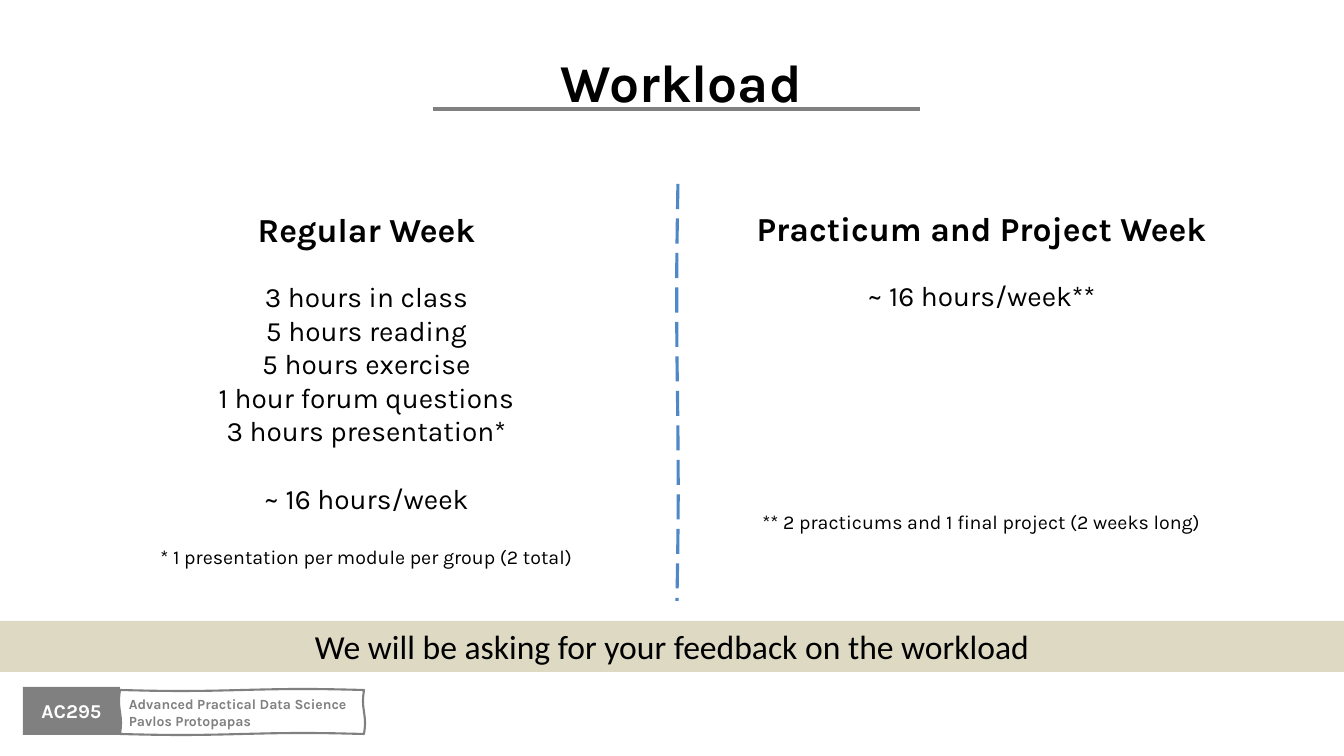
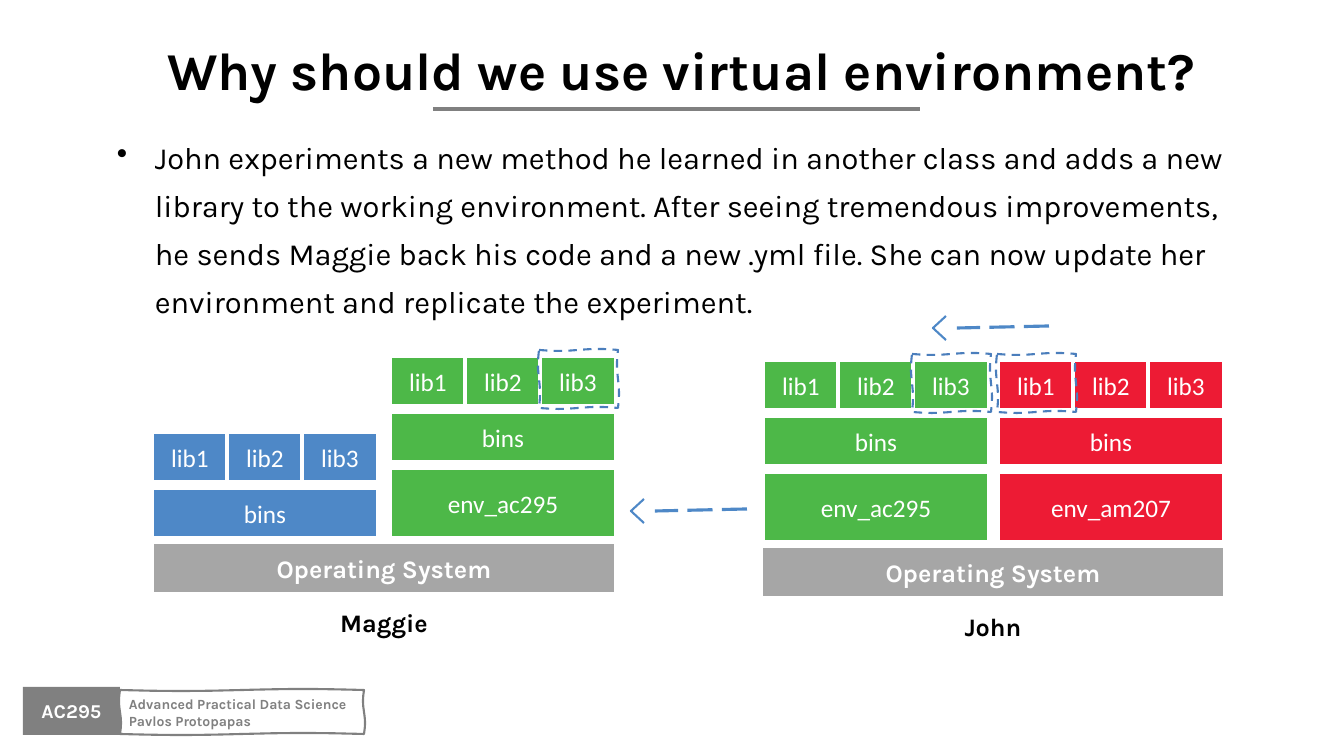
import math

import lxml.etree
import pptx
import pptx.dml.color
import pptx.enum.dml
import pptx.enum.shapes
import pptx.enum.text
import pptx.oxml.ns
import pptx.util

PX = 914400 / 100.8
PAGE_WIDTH, PAGE_HEIGHT = 1344, 756

BLACK, WHITE = "000000", "FFFFFF"
GREY, BAR_GREY = "808080", "A6A6A6"
BLUE, RING_BLUE = "4E88C7", "4B7EBC"
GREEN, RED, SAND = "4DB848", "ED1B34", "DDD9C3"
HEADING_FONT, LABEL_FONT = "Karla", "Calibri"

ALIGN = pptx.enum.text.PP_ALIGN
ANCHOR = pptx.enum.text.MSO_ANCHOR
DASH = pptx.enum.dml.MSO_LINE
PLACEHOLDER = pptx.enum.shapes.PP_PLACEHOLDER

LIBRARY_WIDTH, LIBRARY_STEP = 76, 75
STACK_WIDTH = LIBRARY_WIDTH + 2 * LIBRARY_STEP
LAYER_HEIGHT, ENVIRONMENT_HEIGHT, LAYER_GAP = 50, 70, 6


def emu(*lengths):
    return [pptx.util.Emu(round(length * PX)) for length in lengths]


def colour(hex_text):
    return pptx.dml.color.RGBColor.from_string(hex_text)


def set_line(line, hex_text, width, dash=None):
    line.color.rgb = colour(hex_text)
    line.width = pptx.util.Pt(width)
    if dash is not None:
        line.dash_style = dash


def set_bullet(para, indent):
    properties = para._p.get_or_add_pPr()
    distance = emu(indent)[0]
    properties.set("marL", str(distance))
    properties.set("indent", str(-distance))
    bullet = lxml.etree.SubElement(properties, pptx.oxml.ns.qn("a:buChar"))
    bullet.set("char", "•")


def write(shape, *lines, anchor=ANCHOR.TOP, **style):
    """Fill a shape with paragraphs; a line is text or (text, its own format)."""
    frame = shape.text_frame
    frame.word_wrap = True
    frame.auto_size = pptx.enum.text.MSO_AUTO_SIZE.NONE
    frame.vertical_anchor = anchor
    for index, line in enumerate(lines):
        text, own = (line, {}) if isinstance(line, str) else line
        look = {"font": HEADING_FONT, "size": 20, "color": BLACK, "bold": False,
                "align": ALIGN.CENTER, **style, **own}
        para = frame.paragraphs[0] if index == 0 else frame.add_paragraph()
        para.alignment = look["align"]
        para.space_before = pptx.util.Pt(look.get("before", 0))
        if "spacing" in look:
            para.line_spacing = look["spacing"]
        if "bullet" in look:
            set_bullet(para, look["bullet"])
        span = para.add_run()
        span.text = text
        span.font.name = look["font"]
        span.font.size = pptx.util.Pt(look["size"])
        span.font.bold = look["bold"]
        span.font.color.rgb = colour(look["color"])


def add_text(page, box, *lines, **style):
    write(page.shapes.add_textbox(*emu(*box)), *lines, **style)


def add_block(page, box, fill, *lines, edge=None, **style):
    kind = pptx.enum.shapes.MSO_SHAPE.RECTANGLE
    block = page.shapes.add_shape(kind, *emu(*box))
    block.shadow.inherit = False
    block.fill.solid()
    block.fill.fore_color.rgb = colour(fill)
    if edge:
        set_line(block.line, edge, 2.25)
    else:
        block.line.fill.background()
    write(block, *lines, anchor=ANCHOR.MIDDLE, **style)
    return block


def add_line(page, start, end, hex_text, width, dash=None):
    kind = pptx.enum.shapes.MSO_CONNECTOR.STRAIGHT
    line = page.shapes.add_connector(kind, *emu(*start, *end))
    set_line(line.line, hex_text, width, dash)
    properties = line.element.find(pptx.oxml.ns.qn("p:spPr"))
    lxml.etree.SubElement(properties, pptx.oxml.ns.qn("a:effectLst"))
    return line


def add_outline(page, points, hex_text, width, dash=None, closed=False):
    start, *rest = [emu(*point) for point in points]
    builder = page.shapes.build_freeform(*start, scale=1.0)
    builder.add_line_segments(rest, close=closed)
    outline = builder.convert_to_shape()
    outline.shadow.inherit = False
    outline.fill.background()
    set_line(outline.line, hex_text, width, dash)
    return outline


def wavy(corners, swing=1, steps=16):
    """Points along the path through the corners, with a hand-drawn sway."""
    points = [corners[0]]
    for (left, top), (right, bottom) in zip(corners, corners[1:]):
        length = math.hypot(right - left, bottom - top)
        for step in range(1, steps + 1):
            part = step / steps
            sway = swing * math.sin(2 * math.pi * part) / length
            points.append((left + (right - left) * part - (bottom - top) * sway,
                           top + (bottom - top) * part + (right - left) * sway))
    return points


def add_wavy_box(page, box, hex_text, width, dash=None):
    left, top, wide, high = box
    right, bottom = left + wide, top + high
    corners = [(left, top), (right, top), (right, bottom), (left, bottom), (left, top)]
    return add_outline(page, wavy(corners), hex_text, width, dash, closed=True)


def add_furniture(page):
    """Draw the title rule and footer, then move them to the page's layout."""
    rule = add_line(page, (433, 109), (920, 109), GREY, 3)
    badge = add_block(page, (23, 687, 97, 48), GREY, "AC295",
                      size=14, color=WHITE, bold=True)
    course = add_wavy_box(page, (120, 690, 244, 44), GREY, 1.5)
    write(course, "Advanced Practical Data Science", "Pavlos Protopapas",
          anchor=ANCHOR.MIDDLE, size=10, color=GREY, bold=True, align=ALIGN.LEFT)
    layout = page.slide_layout
    for holder in list(layout.placeholders):
        if holder.placeholder_format.type != PLACEHOLDER.TITLE:
            layout.shapes.element.remove(holder.element)
    for shape in (rule, badge, course):
        layout.shapes.element.append(shape.element)


def add_page(deck, title, top):
    page = deck.slides.add_slide(deck.slide_layouts[5])
    holder = page.shapes.title
    holder.left, holder.top, holder.width, holder.height = emu(128, top, 1107, 72)
    write(holder, title, size=38, bold=True)
    return page


def add_stack(page, left, bottom, fill, environment=None, ringed=None):
    """Stack environment, bins and libraries upwards; ring one library by index."""
    look = {"edge": WHITE, "font": LABEL_FONT, "size": 18, "color": WHITE}
    top = bottom
    if environment:
        top -= ENVIRONMENT_HEIGHT
        add_block(page, (left, top, STACK_WIDTH, ENVIRONMENT_HEIGHT), fill,
                  environment, **look)
        top -= LAYER_GAP
    top -= LAYER_HEIGHT
    add_block(page, (left, top, STACK_WIDTH, LAYER_HEIGHT), fill, "bins", **look)
    top -= LAYER_GAP + LAYER_HEIGHT
    for index in range(3):
        box = (left + index * LIBRARY_STEP, top, LIBRARY_WIDTH, LAYER_HEIGHT)
        add_block(page, box, fill, f"lib{index + 1}", **look)
    if ringed is not None:
        ring = (left + ringed * LIBRARY_STEP - 1, top - 6, 79, 58)
        add_wavy_box(page, ring, RING_BLUE, 1.5, DASH.DASH)


def add_machine(page, left, top, owner, stacks):
    """Draw an operating system bar at left, top with stacks standing on it."""
    add_block(page, (left, top, 464, 52), BAR_GREY, "Operating System",
              edge=WHITE, size=18, color=WHITE, bold=True)
    add_text(page, (left, top + 60, 464, 40), owner,
             anchor=ANCHOR.MIDDLE, size=18, bold=True)
    for offset, *stack in stacks:
        add_stack(page, left + offset, top - 4, *stack)


def add_left_arrow(page, left, middle):
    add_line(page, (left + 116, middle - 2), (left + 24, middle), BLUE, 2.25,
             DASH.LONG_DASH)
    head = [(left + 13, middle - 12), (left, middle), (left + 13, middle + 12)]
    add_outline(page, head, BLUE, 1.5)


def add_workload_page(deck):
    page = add_page(deck, "Workload", 44)
    add_furniture(page)
    heading = {"size": 24, "bold": True}
    add_text(page, (61, 204, 611, 373),
             ("Regular Week", heading),
             ("3 hours in class", {"before": 21.6}),
             "5 hours reading",
             "5 hours exercise",
             "1 hour forum questions",
             "3 hours presentation*",
             ("~ 16 hours/week", {"before": 24}),
             ("* 1 presentation per module per group (2 total)",
              {"before": 21.6, "size": 14}))
    add_text(page, (680, 203, 603, 340),
             ("Practicum and Project Week", heading),
             ("~ 16 hours/week**", {"before": 21.6}),
             ("** 2 practicums and 1 final project (2 weeks long)",
              {"before": 141.6, "size": 14}))
    add_outline(page, wavy([(678, 184), (677, 601)]), BLUE, 2.25, DASH.LONG_DASH)
    add_block(page, (0, 621, PAGE_WIDTH, 51), SAND,
              "We will be asking for your feedback on the workload",
              font=LABEL_FONT, size=24)


def add_environment_page(deck):
    page = add_page(deck, "Why should we use virtual environment?", 32)
    add_text(page, (107, 123, 1128, 201),
             "John experiments a new method he learned in another class and adds "
             "a new library to the working environment. After seeing tremendous "
             "improvements, he sends Maggie back his code and a new .yml file. She "
             "can now update her environment and replicate the experiment.",
             size=22, align=ALIGN.LEFT, spacing=1.3, bullet=38)
    add_machine(page, 152, 542, "Maggie",
                [(0, BLUE), (238, GREEN, "env_ac295", 2)])
    add_machine(page, 761, 546, "John",
                [(2, GREEN, "env_ac295", 2), (237, RED, "env_am207", 0)])
    add_left_arrow(page, 933, 328)
    add_left_arrow(page, 631, 511)


def main():
    deck = pptx.Presentation()
    deck.slide_width, deck.slide_height = emu(PAGE_WIDTH, PAGE_HEIGHT)
    add_workload_page(deck)
    add_environment_page(deck)
    deck.save("out.pptx")


if __name__ == "__main__":
    main()
